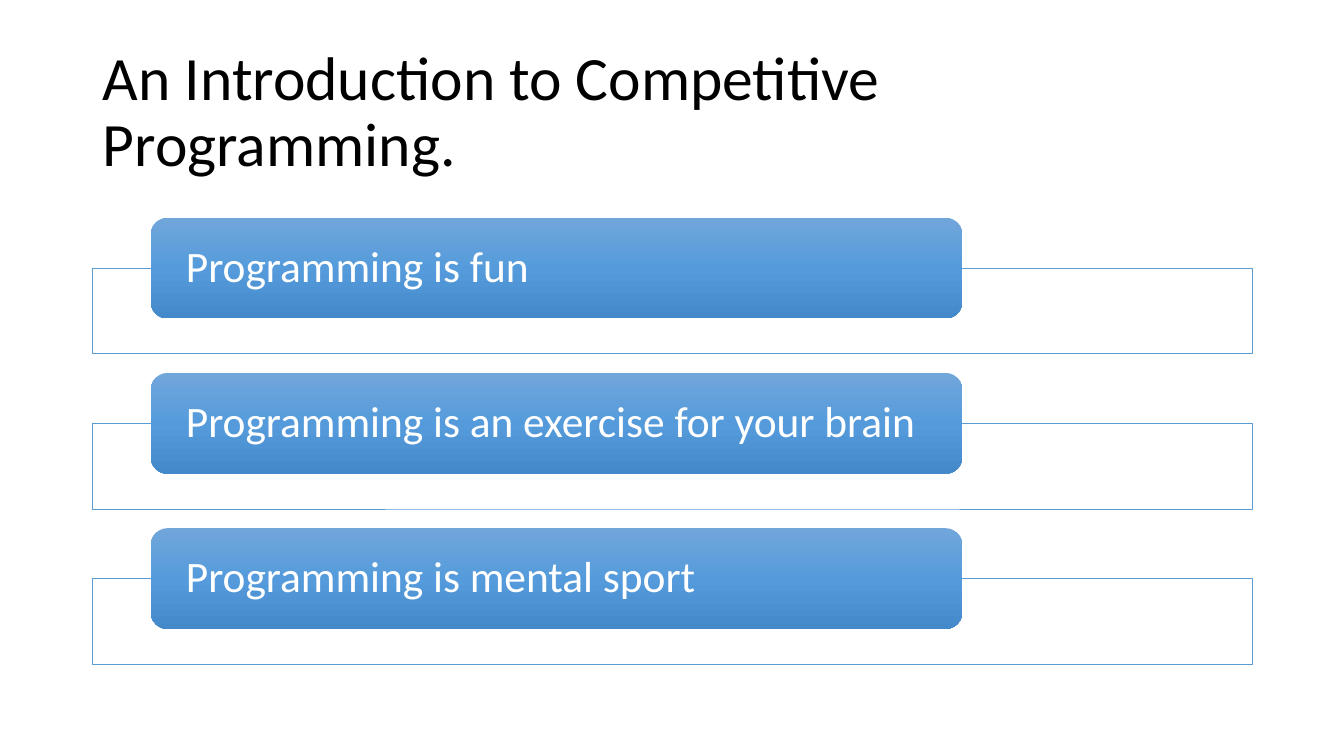
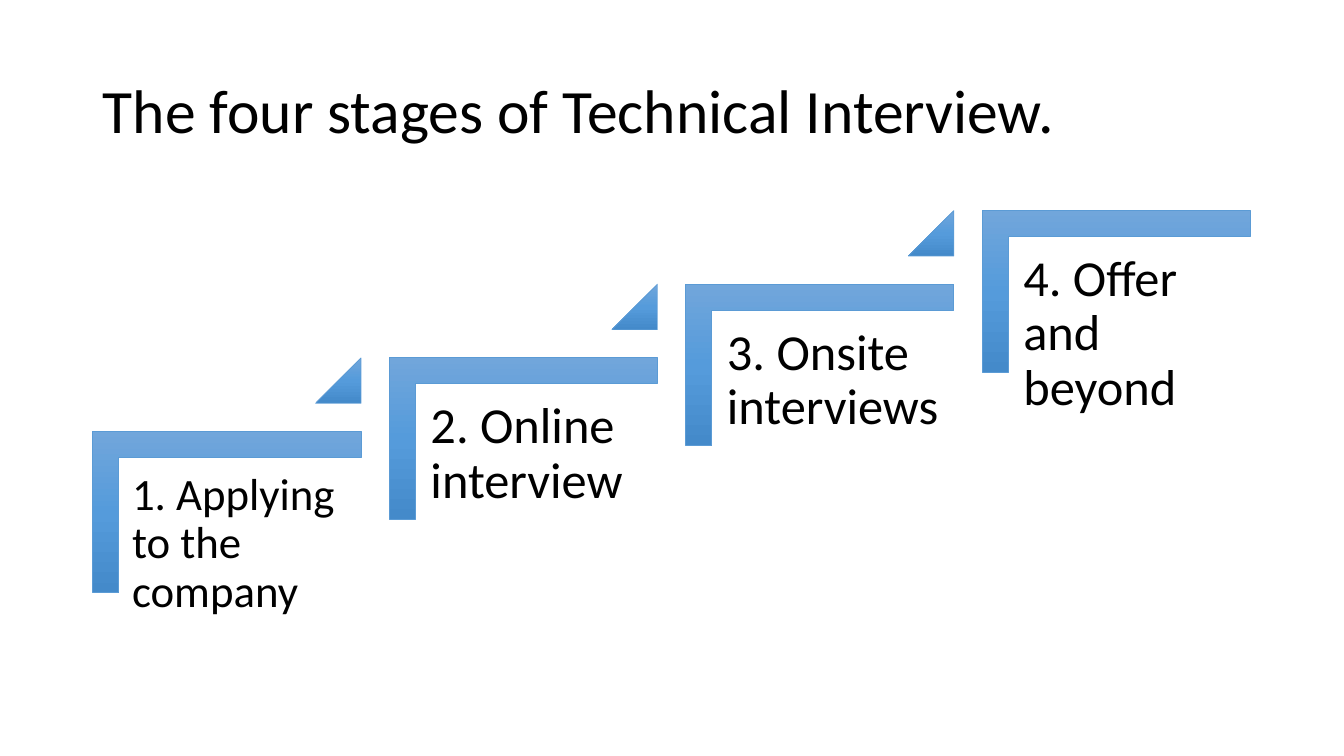
from lxml import etree
from pptx import Presentation
from pptx.dml.color import RGBColor
from pptx.enum import shapes, text
from pptx.oxml import ns
from pptx.util import Inches, Pt

FONT = "Calibri"
TITLE_ONLY = 5
COLORS = {
    "ink": "000000",
    "paper": "FFFFFF",
    "line": "5B9BD5",
    "light": "71A6DB",
    "mid": "559BDB",
    "deep": "448ACA",
}
GRADIENT = ((0, "light"), (50, "mid"), (100, "deep"))
TITLE_BOX = (0.92, 0.4, 11.5, 1.45)


def rgb(name):
    return RGBColor.from_string(COLORS[name])


def sub(parent, tag, **attributes):
    return etree.SubElement(parent, ns.qn(tag), attributes)


# Shared styling
def format_text(frame, words, size, color, anchor, insets):
    frame.text = words
    frame.word_wrap = True
    frame.auto_size = text.MSO_AUTO_SIZE.NONE
    frame.vertical_anchor = anchor
    frame.margin_left = frame.margin_right = Inches(insets[0])
    frame.margin_top = frame.margin_bottom = Inches(insets[1])
    paragraph = frame.paragraphs[0]
    paragraph.alignment = text.PP_ALIGN.LEFT
    paragraph.line_spacing = 0.9
    for run in paragraph.runs:
        run.font.name = FONT
        run.font.size = Pt(size)
        run.font.color.rgb = rgb(color)


def add_outlined(slide, preset, box, outlined=True):
    shape = slide.shapes.add_shape(preset, *map(Inches, box))
    shape.shadow.inherit = False
    if outlined:
        shape.line.color.rgb = rgb("line")
        shape.line.width = Pt(0.5)
    else:
        shape.line.fill.background()
    return shape


def shade(shape):
    """Vertical three-stop gradient that stays upright on turned shapes."""
    shape.fill.gradient()
    gradient = shape._element.spPr.find(ns.qn("a:gradFill"))
    gradient.set("rotWithShape", "0")
    for child in list(gradient):
        gradient.remove(child)
    stops = sub(gradient, "a:gsLst")
    for percent, color in GRADIENT:
        stop = sub(stops, "a:gs", pos=str(percent * 1000))
        sub(stop, "a:srgbClr", val=COLORS[color])
    sub(gradient, "a:lin", ang="5400000", scaled="0")


def add_titled_slide(deck, words):
    slide = deck.slides.add_slide(deck.slide_layouts[TITLE_ONLY])
    title = slide.shapes.title
    title.left, title.top, title.width, title.height = map(Inches, TITLE_BOX)
    format_text(title.text_frame, words, 44, "ink",
                text.MSO_ANCHOR.MIDDLE, (0.1, 0.05))
    return slide


# Reasons: a label overlapping the top of an outlined band
def add_reason(slide, words, left, top, width):
    band = add_outlined(slide, shapes.MSO_SHAPE.RECTANGLE,
                        (left, top + 0.5, width, 0.85))
    band.fill.solid()
    band.fill.fore_color.rgb = rgb("paper")
    sub(band._element.spPr.find(".//" + ns.qn("a:srgbClr")),
        "a:alpha", val="90000")

    label = add_outlined(slide, shapes.MSO_SHAPE.ROUNDED_RECTANGLE,
                         (left + width * 0.05, top, width * 0.7, 1),
                         outlined=False)
    shade(label)
    format_text(label.text_frame, words, 31, "paper",
                text.MSO_ANCHOR.MIDDLE, (0.3, 0.05))


def add_reasons(slide, reasons, left, top, width, pitch):
    for row, reason in enumerate(reasons):
        add_reason(slide, reason, left, top + row * pitch, width)


# Stages: rising steps, each with a corner, a caption and a pointer
def add_stage(slide, words, size, inset, left, top, width, height):
    # The corner preset is turned a quarter, so its own sides are swapped
    turn = (width - height) / 2
    corner = add_outlined(slide, shapes.MSO_SHAPE.CORNER,
                          (left + turn, top - turn, height, width))
    corner.rotation = 90
    corner.adjustments[0] = corner.adjustments[1] = 0.161
    shade(corner)

    caption = slide.shapes.add_textbox(
        *map(Inches, (left + 0.26, top + 0.27, 2.4, 2.11)))
    format_text(caption.text_frame, words, size, "ink",
                text.MSO_ANCHOR.TOP, (inset, inset))


def add_pointer(slide, right, top, side=0.45):
    pointer = add_outlined(slide, shapes.MSO_SHAPE.ISOSCELES_TRIANGLE,
                           (right - side, top, side, side))
    pointer.adjustments[0] = 1
    shade(pointer)


def add_stages(slide, stages, left, top, run, rise):
    width, height = 2.66, 1.6
    for step, (words, size, inset) in enumerate(stages):
        stage_left, stage_top = left + step * run, top - step * rise
        add_stage(slide, words, size, inset,
                  stage_left, stage_top, width, height)
        if step < len(stages) - 1:
            add_pointer(slide, stage_left + width, stage_top - rise)


def main():
    deck = Presentation()
    deck.slide_width, deck.slide_height = Inches(13.33), Inches(7.5)

    introduction = add_titled_slide(
        deck, "An Introduction to Competitive Programming.")
    add_reasons(introduction, (
        "Programming is fun",
        "Programming is an exercise for your brain",
        "Programming is mental sport",
    ), left=0.92, top=2.16, width=11.5, pitch=1.54)

    interview = add_titled_slide(
        deck, "The four stages of Technical Interview.")
    add_stages(interview, (
        ("1. Applying to the company", 32, 0.13),
        ("2. Online interview", 36, 0.15),
        ("3. Onsite interviews", 36, 0.15),
        ("4. Offer and beyond", 36, 0.15),
    ), left=0.92, top=4.28, run=2.94, rise=0.73)

    deck.save("out.pptx")


if __name__ == "__main__":
    main()
